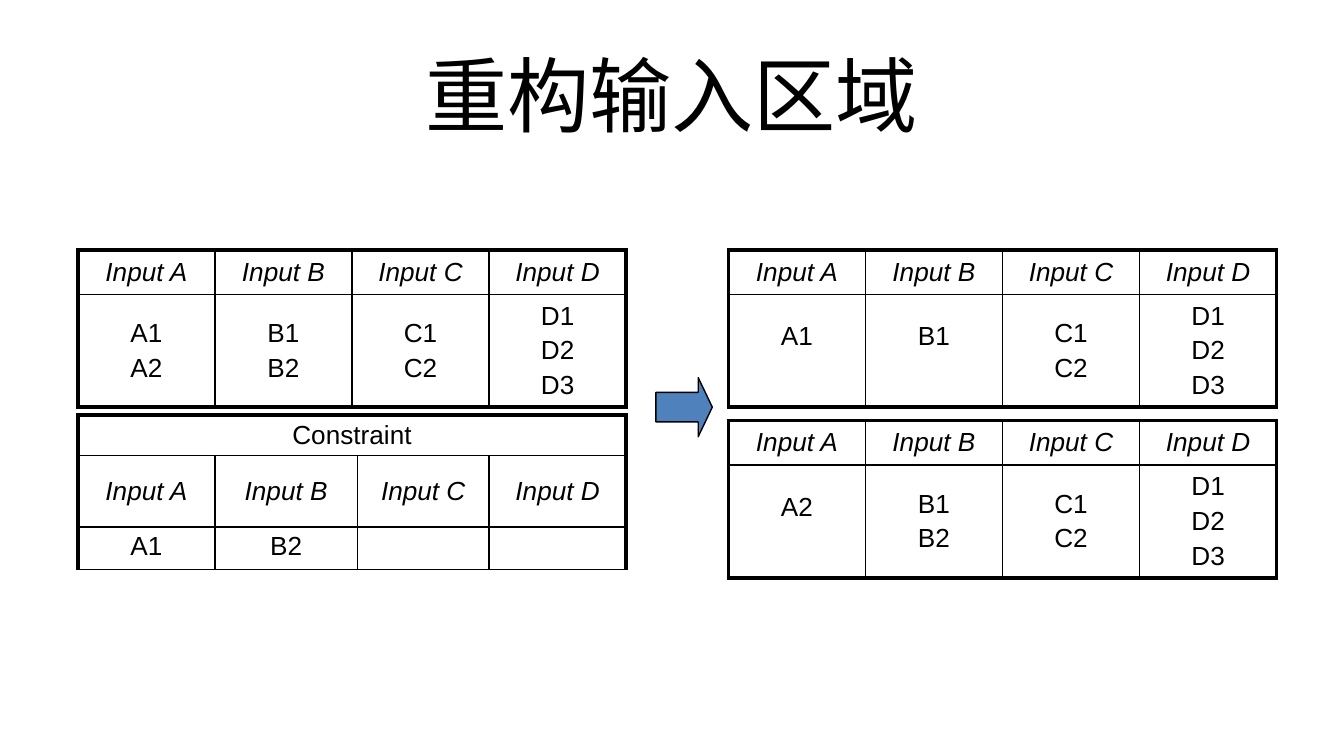
from dataclasses import dataclass

from lxml.etree import SubElement
from pptx import Presentation
from pptx.dml.color import RGBColor
from pptx.enum.shapes import MSO_SHAPE
from pptx.enum.text import MSO_ANCHOR, PP_ALIGN
from pptx.oxml.ns import qn
from pptx.util import Inches, Pt

COLORS = {"ink": "000000", "arrow": "4F81BD"}
SLIDE_WIDTH = 10
SLIDE_HEIGHT = SLIDE_WIDTH * 9 / 16
THIN, THICK = 1, 2.25
TEXT_SIZE = 14
TITLE_FORMAT = {"size": Pt(44), "name": "Calibri"}
CELL_FORMAT = {"size": Pt(TEXT_SIZE), "name": "Arial"}
CELL_MARGINS = {"margin_left": 0.1, "margin_right": 0.1,
                "margin_top": 0.04, "margin_bottom": 0.04}
LIFTED_MARGIN = 0.25  # bottom margin that raises a single value above the middle


@dataclass(frozen=True)
class Row:
    height: float
    entries: tuple[str, ...]
    italic: bool = False
    anchor: MSO_ANCHOR = MSO_ANCHOR.MIDDLE
    lift_singles: bool = False


@dataclass(frozen=True)
class Grid:
    left: float
    top: float
    rows: tuple[Row, ...]
    widths: tuple[float, ...] = (1.02,) * 4
    bottom_border: float = THICK


INPUTS = ("Input A", "Input B", "Input C", "Input D")
C_VALUES, D_VALUES = "C1\nC2", "D1\nD2\nD3"


def domain(left: float, top: float, a_values: str, b_values: str) -> Grid:
    """Describe an input domain: a row of input names over their values."""
    values = (a_values, b_values, C_VALUES, D_VALUES)
    return Grid(left, top, (Row(0.33, INPUTS, italic=True),
                            Row(0.84, values, lift_singles=True)))


GRIDS = (
    domain(0.58, 1.86, "A1\nA2", "B1\nB2"),
    Grid(0.58, 3.09, (
        Row(0.3, ("Constraint",)),
        Row(0.53, INPUTS, italic=True),
        Row(0.3, ("A1", "B2", "", ""), anchor=MSO_ANCHOR.TOP),
    ), widths=(1.02, 1.06, 0.98, 1.02), bottom_border=THIN),
    domain(5.42, 1.86, "A1", "B1"),
    domain(5.42, 3.13, "A2", "B1\nB2"),
)


def format_font(font, values: dict) -> None:
    for attribute, value in values.items():
        setattr(font, attribute, value)
    font.color.rgb = RGBColor.from_string(COLORS["ink"])


def set_borders(cell, widths: dict[str, float]) -> None:
    properties = cell._tc.get_or_add_tcPr()
    for side, width in widths.items():
        border = SubElement(properties, qn(f"a:ln{side}"), w=str(Pt(width)))
        fill = SubElement(border, qn("a:solidFill"))
        SubElement(fill, qn("a:srgbClr"), val=COLORS["ink"])


def write_entry(cell, entry: str, row: Row) -> None:
    for margin, inches in CELL_MARGINS.items():
        setattr(cell, margin, Inches(inches))
    if row.lift_singles and "\n" not in entry:
        cell.margin_bottom = Inches(LIFTED_MARGIN)
    cell.vertical_anchor = row.anchor
    cell.text = entry
    for paragraph in cell.text_frame.paragraphs:
        paragraph.alignment = PP_ALIGN.CENTER
        spacing = SubElement(paragraph._p.get_or_add_pPr(), qn("a:spcBef"))
        SubElement(spacing, qn("a:spcPct"), val="20000")
        for run in paragraph.runs:
            format_font(run.font, CELL_FORMAT | {"italic": row.italic})
        if not paragraph.runs:
            SubElement(paragraph._p, qn("a:endParaRPr"), sz=str(TEXT_SIZE * 100))


def draw_grid(slide, grid: Grid) -> None:
    row_count, column_count = len(grid.rows), len(grid.widths)
    height = sum(row.height for row in grid.rows)
    table = slide.shapes.add_table(
        row_count, column_count, Inches(grid.left), Inches(grid.top),
        Inches(sum(grid.widths)), Inches(height)).table
    table.first_row = table.horz_banding = False
    for column, width in zip(table.columns, grid.widths):
        column.width = Inches(width)
    for r, row in enumerate(grid.rows):
        table.rows[r].height = Inches(row.height)
        if len(row.entries) == 1:
            table.cell(r, 0).merge(table.cell(r, column_count - 1))
        for c, entry in enumerate(row.entries):
            write_entry(table.cell(r, c), entry, row)
        for c in range(column_count):
            cell = table.cell(r, c)
            set_borders(cell, {
                "L": THICK if c == 0 else THIN,
                "R": THICK if c + cell.span_width == column_count else THIN,
                "T": THICK if r == 0 else THIN,
                "B": grid.bottom_border if r == row_count - 1 else THIN,
            })
            cell.fill.background()


def draw_title(slide, wording: str) -> None:
    title = slide.shapes.title
    title.left, title.top = Inches(0.5), Inches(0.23)
    title.width, title.height = Inches(9), Inches(0.94)
    title.text_frame.text = wording
    title.text_frame.vertical_anchor = MSO_ANCHOR.MIDDLE
    heading = title.text_frame.paragraphs[0]
    heading.alignment = PP_ALIGN.CENTER
    format_font(heading.runs[0].font, TITLE_FORMAT)


def draw_arrow(slide) -> None:
    arrow = slide.shapes.add_shape(MSO_SHAPE.RIGHT_ARROW, Inches(4.88),
                                   Inches(2.81), Inches(0.42), Inches(0.44))
    arrow.adjustments[0], arrow.adjustments[1] = 0.5, 0.25
    arrow.shadow.inherit = False
    arrow.fill.solid()
    arrow.fill.fore_color.rgb = RGBColor.from_string(COLORS["arrow"])
    arrow.line.color.rgb = RGBColor.from_string(COLORS["ink"])
    arrow.line.width = Pt(0.75)


def main() -> None:
    presentation = Presentation()
    presentation.slide_width = Inches(SLIDE_WIDTH)
    presentation.slide_height = Inches(SLIDE_HEIGHT)
    slide = presentation.slides.add_slide(presentation.slide_layouts[5])
    draw_title(slide, "重构输入区域")
    for grid in GRIDS:
        draw_grid(slide, grid)
    draw_arrow(slide)
    presentation.save("out.pptx")


if __name__ == "__main__":
    main()
